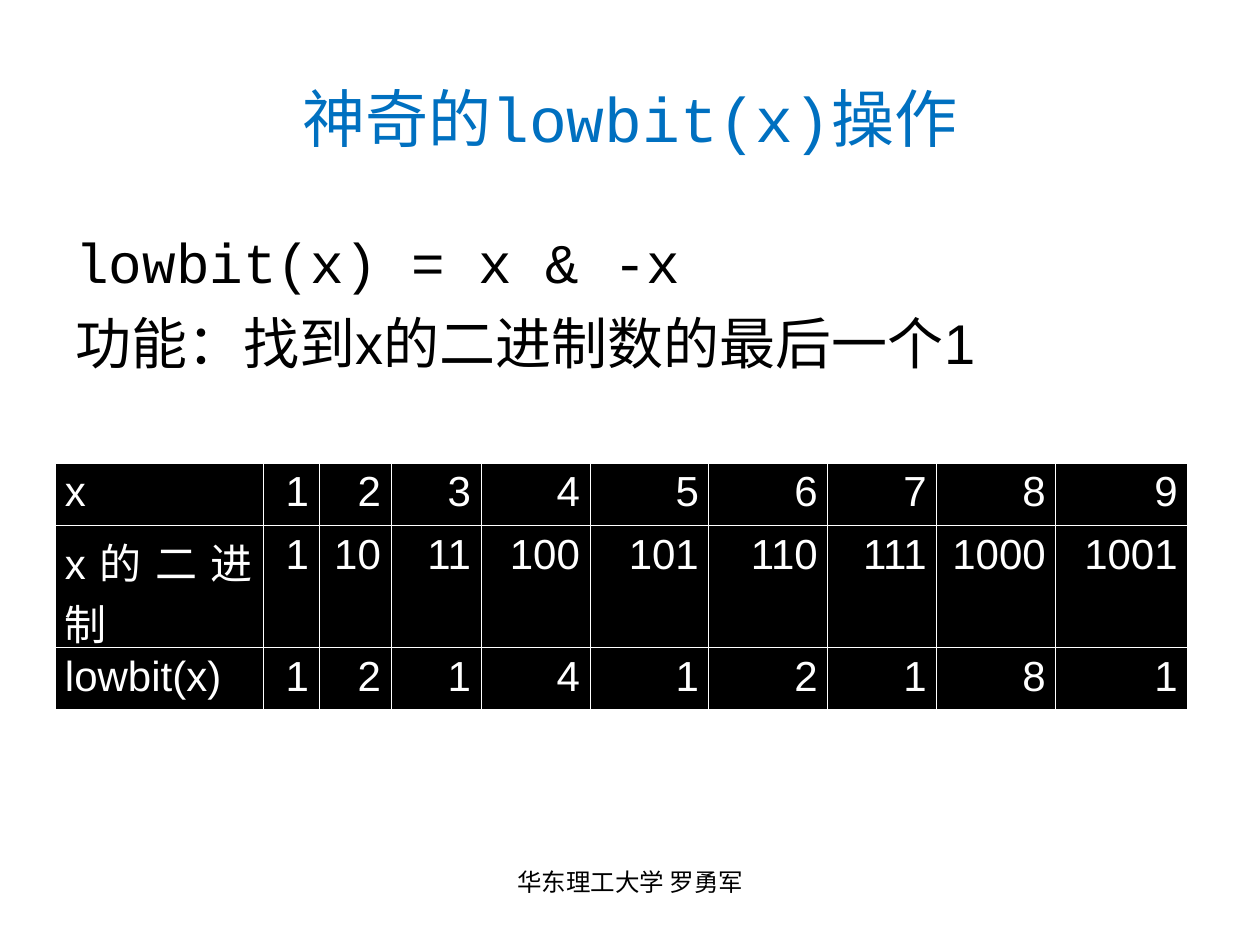
from lxml import etree
from pptx import Presentation, util as u
from pptx.dml.color import RGBColor
from pptx.enum import text
from pptx.oxml.ns import qn

PX = u.Inches(1) // 126
BLUE = RGBColor(0x00, 0x70, 0xC0)
BLACK = RGBColor(0x00, 0x00, 0x00)
WHITE = RGBColor(0xFF, 0xFF, 0xFF)
SANS, MONO = "Arial", "Courier New"
ALIGN = text.PP_ALIGN

COLUMNS = [208, 56, 72, 90, 109, 119, 119, 109, 119, 132]
ROWS = [47, 122, 47]
NUMBERS = range(1, 10)
LOWBIT_TABLE = [
    ["x", *NUMBERS],
    ["x的二进制", *(f"{n:b}" for n in NUMBERS)],
    ["lowbit(x)", *(n & -n for n in NUMBERS)],
]


def set_all(target, **values):
    for name, value in values.items():
        setattr(target, name, value)


def write_spans(para, spans, size, color):
    """Fill a paragraph with (words, font name) pairs."""
    for words, font in spans:
        span = para.add_run()
        span.text = words
        set_all(span.font, name=font, size=u.Pt(size))
        span.font.color.rgb = color


def add_text(page, box, lines, size, color, anchor=text.MSO_ANCHOR.TOP, **para_format):
    """Add a text box; each line is a list of spans."""
    frame = page.shapes.add_textbox(*(side * PX for side in box)).text_frame
    set_all(frame, word_wrap=True, vertical_anchor=anchor)
    for index, spans in enumerate(lines):
        para = frame.add_paragraph() if index else frame.paragraphs[0]
        set_all(para, **para_format)
        write_spans(para, spans, size, color)


def add_title(page, box):
    spans = [("神奇的", SANS), ("lowbit(x)", MONO), ("操作", SANS)]
    add_text(page, box, [spans], 36, BLUE, text.MSO_ANCHOR.MIDDLE, alignment=ALIGN.CENTER)


def add_definition(page, box):
    lines = [[("lowbit(x) = x & -x", MONO)],
             [("功能：找到x的二进制数的最后一个1", SANS)]]
    add_text(page, box, lines, 32, BLACK, space_before=u.Pt(8))


def add_footer(page, box):
    add_text(page, box, [[("华东理工大学 罗勇军", SANS)]], 14, BLACK, alignment=ALIGN.CENTER)


def add_borders(cell, color, points):
    properties = cell._tc.get_or_add_tcPr()
    for side in ("lnL", "lnR", "lnT", "lnB"):
        line = etree.SubElement(properties, qn(f"a:{side}"), w=str(u.Pt(points)))
        fill = etree.SubElement(line, qn("a:solidFill"))
        etree.SubElement(fill, qn("a:srgbClr"), val=str(color))


def fill_cell(cell, words, alignment):
    set_all(cell, margin_left=10 * PX, margin_right=10 * PX,
            margin_top=6 * PX, margin_bottom=6 * PX)
    add_borders(cell, WHITE, 0.45)
    cell.fill.solid()
    cell.fill.fore_color.rgb = BLACK
    para = cell.text_frame.paragraphs[0]
    para.alignment = alignment
    write_spans(para, [(words, SANS)], 24, WHITE)


def add_lowbit_table(page, left, top):
    table = page.shapes.add_table(len(ROWS), len(COLUMNS), left * PX, top * PX,
                                  sum(COLUMNS) * PX, sum(ROWS) * PX).table
    set_all(table, first_row=False, horz_banding=False)
    for column, width in zip(table.columns, COLUMNS):
        column.width = width * PX
    for row, height, values in zip(table.rows, ROWS, LOWBIT_TABLE):
        row.height = height * PX
        for index, (cell, value) in enumerate(zip(row.cells, values)):
            fill_cell(cell, str(value), ALIGN.RIGHT if index else ALIGN.JUSTIFY)


def main():
    deck = Presentation()
    set_all(deck, slide_width=1260 * PX, slide_height=945 * PX)
    page = deck.slides.add_slide(deck.slide_layouts[6])
    add_title(page, (63, 38, 1134, 158))
    add_definition(page, (63, 221, 1134, 624))
    add_lowbit_table(page, 55, 463)
    add_footer(page, (431, 861, 399, 65))
    deck.save("out.pptx")


if __name__ == "__main__":
    main()
